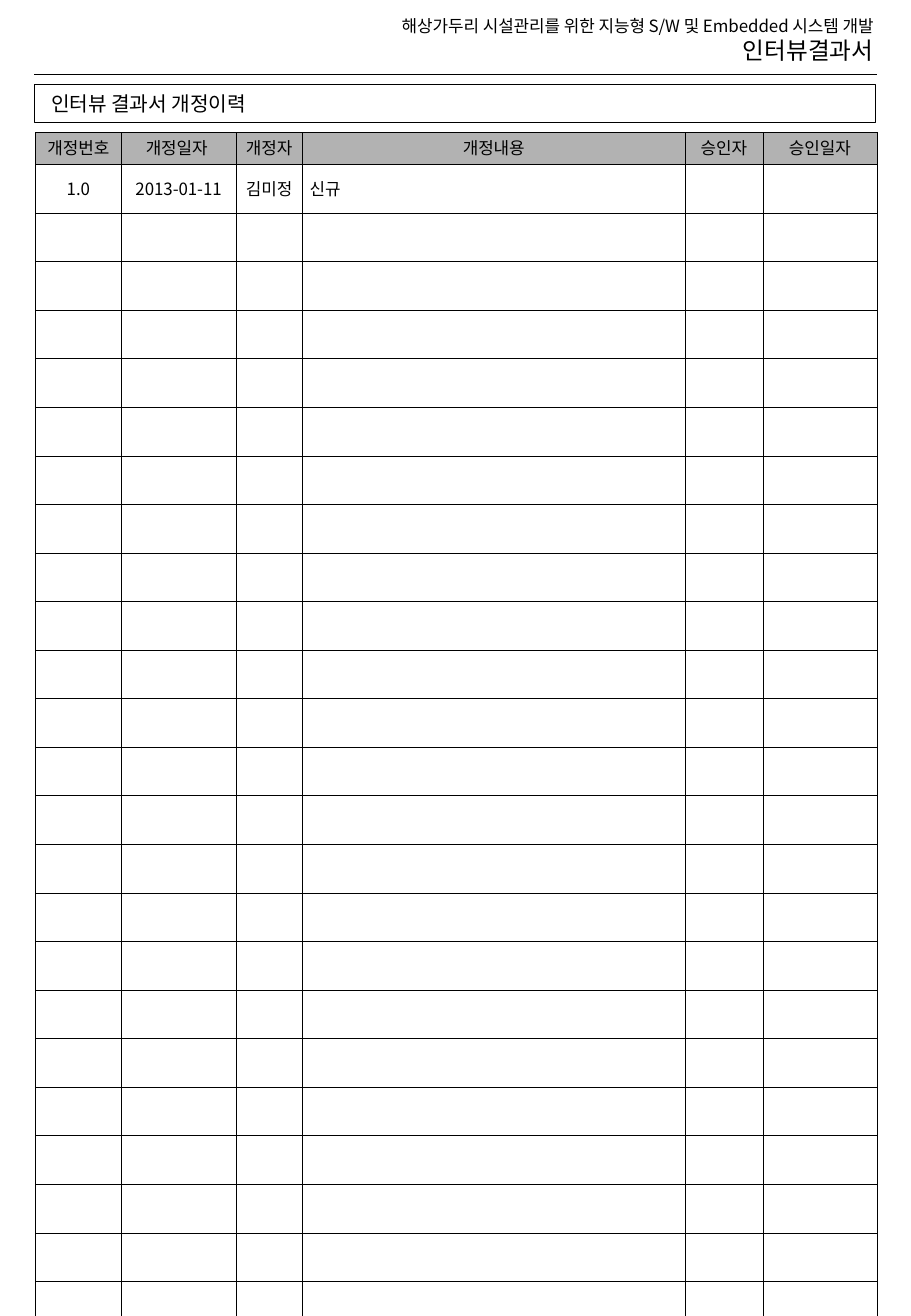
from lxml import etree
from pptx import Presentation, util as u
from pptx.dml.color import RGBColor
from pptx.enum import shapes, text
from pptx.oxml import ns

BLACK = RGBColor(0, 0, 0)
WHITE = RGBColor(255, 255, 255)
GREY = RGBColor(0xB2, 0xB2, 0xB2)
BODY, HEADING = "Noto Sans CJK KR", "Cabin"
COLUMNS, ROWS = 750, 1084
LEFT, RIGHT = 28, 722
ALIGN = text.PP_ALIGN


class Page:
    """Holds the style and the current slide, measured on a fine grid."""

    def __init__(self, deck):
        self.column = deck.slide_width / COLUMNS
        self.row = deck.slide_height / ROWS
        self.slide = deck.slides.add_slide(deck.slide_layouts[5])

    def box(self, left, top, width, height):
        return [round(size * step) for size, step in
                zip((left, top, width, height), (self.column, self.row) * 2)]

    def words(self, paragraph, content, size, face=BODY, **formats):
        for key, value in formats.items():
            setattr(paragraph, key, value)
        run = paragraph.add_run()
        run.text = content
        for key, value in {"size": u.Pt(size), "name": face, "bold": False}.items():
            setattr(run.font, key, value)
        run.font.color.rgb = BLACK
        east = etree.SubElement(run.font._element, ns.qn("a:ea"))
        east.set("typeface", face)

    def frame(self, holder, wrap):
        formats = {"word_wrap": wrap, "auto_size": text.MSO_AUTO_SIZE.NONE,
                   "vertical_anchor": text.MSO_ANCHOR.TOP}
        for key, value in formats.items():
            setattr(holder.text_frame, key, value)
        return holder.text_frame

    def title(self, content, *place):
        heading = self.slide.shapes.title
        for key, value in zip(("left", "top", "width", "height"), self.box(*place)):
            setattr(heading, key, value)
        paragraph = self.frame(heading, False).paragraphs[0]
        self.words(paragraph, content, 12, HEADING, alignment=ALIGN.LEFT)

    def header(self, lines, *place):
        holder = self.slide.shapes.add_textbox(*self.box(*place))
        frame = self.frame(holder, True)
        for index, (content, size) in enumerate(lines):
            paragraph = frame.add_paragraph() if index else frame.paragraphs[0]
            self.words(paragraph, content, size, alignment=ALIGN.RIGHT)

    def rule(self, top):
        line = self.slide.shapes.add_connector(
            shapes.MSO_CONNECTOR.STRAIGHT, *self.box(LEFT, top, RIGHT, top))
        line.line.color.rgb = BLACK
        line.line.width = u.Pt(0.25)
        etree.SubElement(line._element.spPr, ns.qn("a:effectLst"))

    def outline(self, *place):
        border = self.slide.shapes.add_shape(
            shapes.MSO_SHAPE.RECTANGLE, *self.box(*place))
        border.shadow.inherit = False
        border.fill.background()
        border.line.color.rgb = BLACK
        border.line.width = u.Pt(0.25)

    def cell(self, cell, fill):
        formats = {"margin_left": u.Inches(0.06), "margin_right": u.Inches(0.06),
                   "margin_top": u.Pt(3.42), "margin_bottom": u.Pt(3.42),
                   "vertical_anchor": text.MSO_ANCHOR.MIDDLE}
        for key, value in formats.items():
            setattr(cell, key, value)
        properties = cell._tc.get_or_add_tcPr()
        for side in ("lnL", "lnR", "lnT", "lnB"):
            edge = etree.SubElement(properties, ns.qn(f"a:{side}"), w=str(u.Pt(0.11)))
            paint = etree.SubElement(edge, ns.qn("a:solidFill"))
            etree.SubElement(paint, ns.qn("a:srgbClr"), val=str(BLACK))
        cell.fill.solid()
        cell.fill.fore_color.rgb = fill

    def history(self, names, entries, widths, count, left, top):
        place = self.box(left, top, sum(widths), 26 + 29 * count)
        table = self.slide.shapes.add_table(count + 1, len(widths), *place).table
        for column, width in zip(table.columns, widths):
            column.width = round(width * self.column)
        for index, row in enumerate(table.rows):
            row.height = round((29 if index else 26) * self.row)
            for cell in row.cells:
                self.cell(cell, WHITE if index else GREY)
        for index, content in enumerate(names):
            self.words(table.cell(0, index).text_frame.paragraphs[0], content, 10,
                       alignment=ALIGN.CENTER, line_spacing=0.84)
        for index, (content, alignment) in enumerate(entries):
            self.words(table.cell(1, index).text_frame.paragraphs[0], content, 10,
                       alignment=alignment)


def main():
    deck = Presentation()
    deck.slide_width, deck.slide_height = u.Inches(7.5), u.Inches(10.84)
    page = Page(deck)
    page.header([("해상가두리 시설관리를 위한 지능형 S/W 및 Embedded 시스템 개발", 10),
                 ("인터뷰결과서", 14)], LEFT, 8, 701, 50)
    page.rule(61)
    page.history(
        ["개정번호", "개정일자 ", "개정자", "개정내용", "승인자", "승인일자"],
        [("1.0", ALIGN.CENTER), ("2013-01-11", ALIGN.CENTER),
         ("김미정", ALIGN.CENTER), ("신규", ALIGN.LEFT)],
        [71, 94, 55, 315, 64, 94], 31, 29, 109)
    page.outline(LEFT, 69, 693, 32)
    page.title("인터뷰 결과서 개정이력", 32, 70, 191, 30)
    deck.save("out.pptx")


if __name__ == "__main__":
    main()
